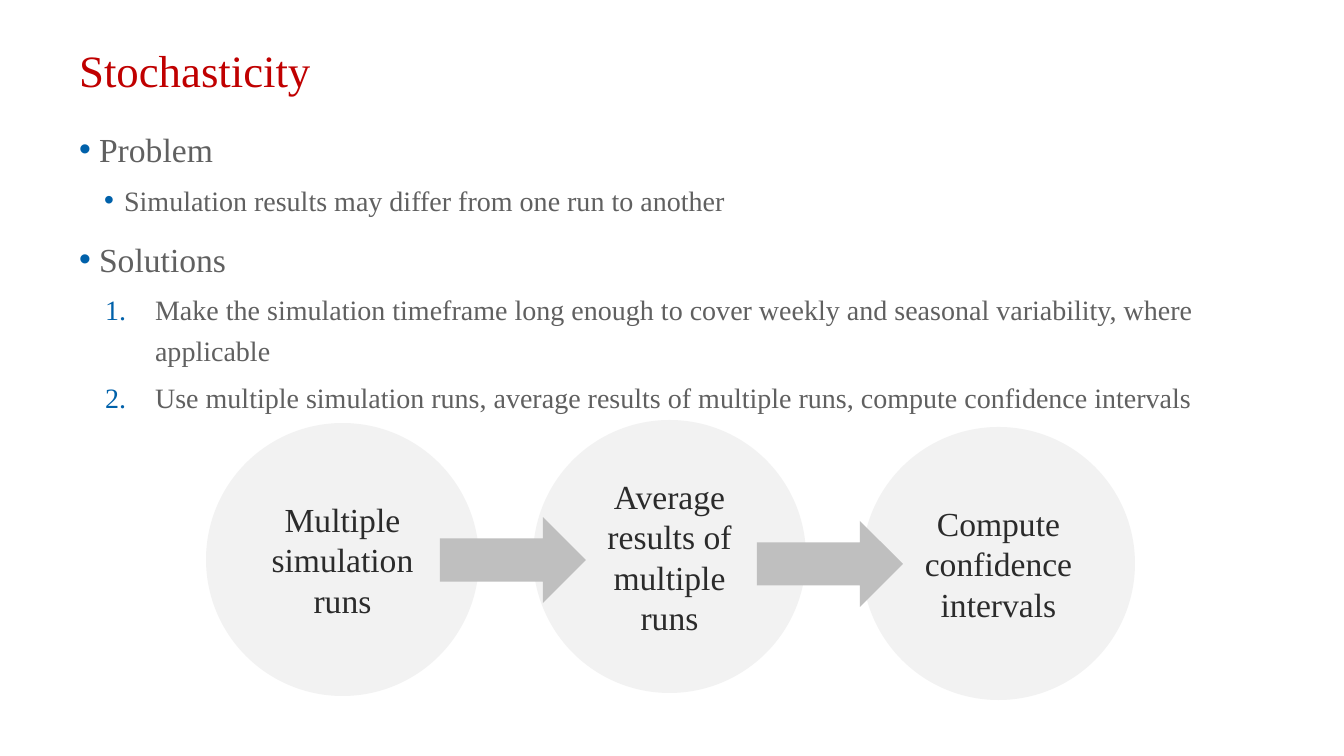
import pptx
import pptx.util
import pptx.dml.color
import pptx.enum.shapes
import pptx.enum.text
import lxml.etree
import pptx.oxml.ns

PX = 914400 / 100.8
FONT = "Times New Roman"
COLORS = {
    "title": "C00000",
    "body": "606060",
    "bullet": "0061AA",
    "circle": "F2F2F2",
    "label": "2B2B2B",
    "arrow": "BFBFBF",
}
ALIGN = pptx.enum.text.PP_ALIGN
ANCHOR = pptx.enum.text.MSO_ANCHOR
SHAPE = pptx.enum.shapes.MSO_SHAPE

BULLETS = [
    ("Problem", "top"),
    ("Simulation results may differ from one run to another", "sub"),
    ("Solutions", "top"),
    ("Make the simulation timeframe long enough to cover weekly and seasonal "
     "variability, where applicable", "step"),
    ("Use multiple simulation runs, average results of multiple runs, "
     "compute confidence intervals", "step"),
]
STYLES = {
    "top": dict(level=0, size=24, before=10, margin=20, hang=20),
    "sub": dict(level=1, size=20, before=5, margin=45, hang=20),
    "step": dict(level=1, size=20, before=5, margin=76, hang=50, numbered=True),
}
CIRCLES = [
    ("Multiple simulation runs", 0, 3),
    ("Average results of multiple runs", 327, 0),
    ("Compute confidence intervals", 656, 7),
]
ARROWS = [(234, 97), (551, 101)]


def px(n):
    return round(n * PX)


def rgb(name):
    return pptx.dml.color.RGBColor.from_string(COLORS[name])


def add_text(p, text, size, color, align=ALIGN.LEFT, spacing=1.0, before=0):
    p.alignment = align
    p.line_spacing = spacing
    p.space_before = pptx.util.Pt(before)
    r = p.add_run()
    r.text = text
    r.font.name = FONT
    r.font.size = pptx.util.Pt(size)
    r.font.color.rgb = rgb(color)


def set_bullet(p, margin, hang, numbered):
    qn = pptx.oxml.ns.qn
    pPr = p._p.get_or_add_pPr()
    pPr.set("marL", str(px(margin)))
    pPr.set("indent", str(-px(hang)))
    clr = lxml.etree.SubElement(pPr, qn("a:buClr"))
    lxml.etree.SubElement(clr, qn("a:srgbClr"), val=COLORS["bullet"])
    if numbered:
        lxml.etree.SubElement(pPr, qn("a:buFont"), typeface=FONT)
        lxml.etree.SubElement(pPr, qn("a:buAutoNum"), type="arabicPeriod")
    else:
        lxml.etree.SubElement(pPr, qn("a:buFont"), typeface="Arial")
        lxml.etree.SubElement(pPr, qn("a:buChar"), char="•")


def place(sp, x, y, w, h, anchor):
    sp.left, sp.top, sp.width, sp.height = map(px, (x, y, w, h))
    tf = sp.text_frame
    tf.word_wrap = True
    tf.auto_size = pptx.enum.text.MSO_AUTO_SIZE.NONE
    tf.vertical_anchor = anchor
    return tf


def add_title(s, x, y, w, h):
    tf = place(s.shapes.title, x, y, w, h, ANCHOR.MIDDLE)
    add_text(tf.paragraphs[0], "Stochasticity", 32, "title", spacing=0.9)


def add_body(s, x, y, w, h):
    tf = place(s.placeholders[1], x, y, w, h, ANCHOR.TOP)
    for i, (text, kind) in enumerate(BULLETS):
        style = STYLES[kind]
        p = tf.add_paragraph() if i else tf.paragraphs[0]
        p.level = style["level"]
        add_text(p, text, style["size"], "body", spacing=1.2, before=style["before"])
        set_bullet(p, style["margin"], style["hang"], style.get("numbered", False))


def add_filled(s, kind, x, y, w, h, color):
    sp = s.shapes.add_shape(kind, px(x), px(y), px(w), px(h))
    sp.shadow.inherit = False
    sp.fill.solid()
    sp.fill.fore_color.rgb = rgb(color)
    sp.line.fill.background()
    return sp


def add_process(s, x, y, diameter):
    for text, dx, dy in CIRCLES:
        sp = add_filled(s, SHAPE.OVAL, x + dx, y + dy, diameter, diameter, "circle")
        tf = sp.text_frame
        tf.word_wrap = True
        tf.vertical_anchor = ANCHOR.MIDDLE
        add_text(tf.paragraphs[0], text, 24, "label", align=ALIGN.CENTER)
    for dx, dy in ARROWS:
        add_filled(s, SHAPE.RIGHT_ARROW, x + dx, y + dy, 146, 86, "arrow")


def main():
    prs = pptx.Presentation()
    prs.slide_width, prs.slide_height = px(1344), px(756)
    s = prs.slides.add_slide(prs.slide_layouts[1])
    add_body(s, 69, 116, 1195, 611)
    add_title(s, 69, 29, 1185, 88)
    add_process(s, 206, 420, 273)
    prs.save("out.pptx")


if __name__ == "__main__":
    main()
